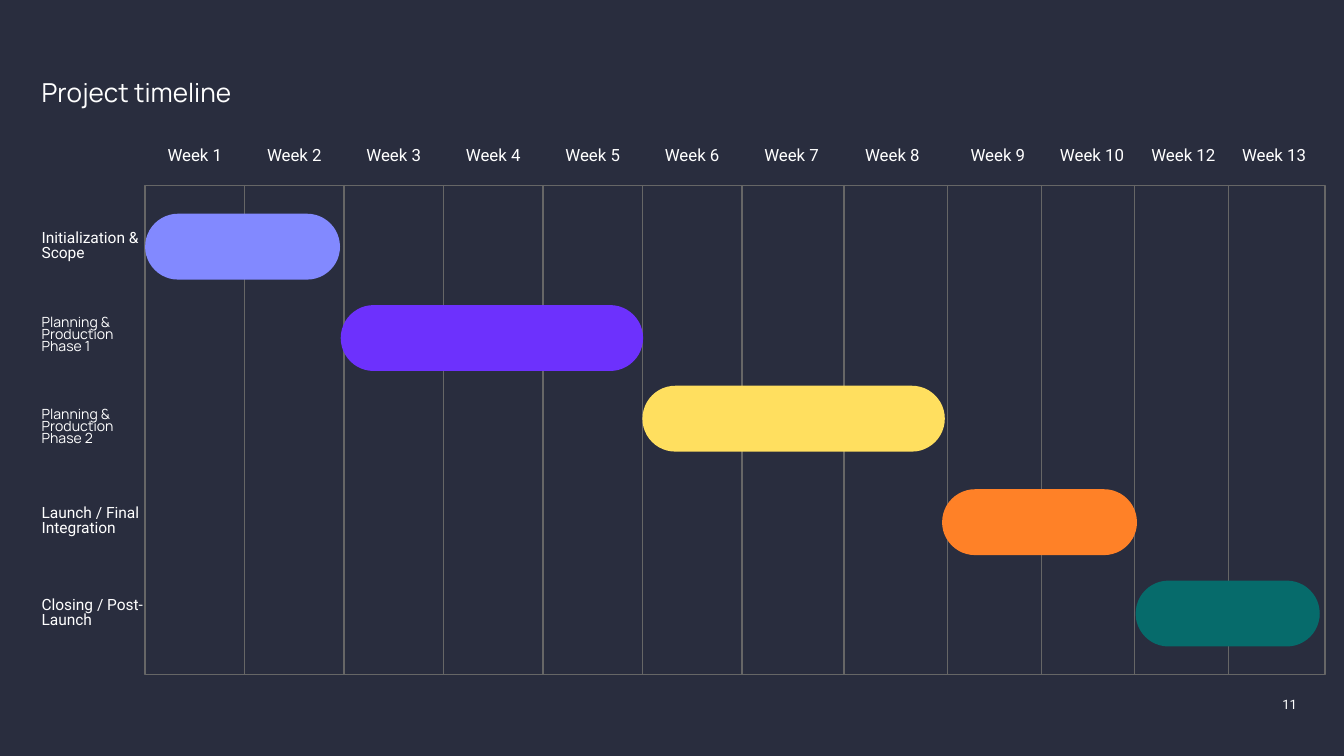
from lxml import etree
from pptx import Presentation
from pptx import util as u
from pptx.dml.color import RGBColor
from pptx.enum import shapes, text
from pptx.oxml.ns import qn

CELL = 0.1  # inches; the slide is a grid of 100 by 56.25 cells
WHITE, GREY, NIGHT = "FFFFFF", "666666", "292D3E"
LEFT, MID, RIGHT = text.PP_ALIGN.LEFT, text.PP_ALIGN.CENTER, text.PP_ALIGN.RIGHT


def cell(n):
    return u.Inches(n * CELL)


def tint(code):
    return RGBColor.from_string(code)


class Deck:
    """Holds the style and the current slide; lengths are in grid cells."""

    def __init__(self):
        self.prs = Presentation()
        self.prs.slide_width, self.prs.slide_height = cell(100), cell(56.25)
        self.slide = self.prs.slides.add_slide(self.prs.slide_layouts[6])
        fill = self.slide.background.fill
        fill.solid()
        fill.fore_color.rgb = tint(NIGHT)

    def label(self, x, y, w, h, lines, size, font="Roboto", align=LEFT,
              gap=1.0, anchor=text.MSO_ANCHOR.MIDDLE):
        """Add a text box; each item of lines starts after a line break."""
        frame = self.slide.shapes.add_textbox(*map(cell, (x, y, w, h))).text_frame
        frame.word_wrap = True
        frame.vertical_anchor = anchor
        frame.margin_left = frame.margin_right = 0
        frame.margin_top = frame.margin_bottom = 0
        para = frame.paragraphs[0]
        para.alignment, para.line_spacing = align, gap
        for i, line in enumerate(lines):
            if i:
                para.add_line_break()
            run = para.add_run()
            run.text = line
            run.font.size, run.font.name = u.Pt(size), font
            run.font.color.rgb = tint(WHITE)

    def frame(self, x, y, w, h):
        box = self.slide.shapes.add_shape(
            shapes.MSO_SHAPE.RECTANGLE, *map(cell, (x, y, w, h)))
        box.shadow.inherit = False
        box.fill.background()
        box.line.color.rgb, box.line.width = tint(GREY), u.Pt(0.75)

    def bar(self, x, y, w, h, color):
        pill = self.slide.shapes.add_shape(
            shapes.MSO_SHAPE.ROUNDED_RECTANGLE, *map(cell, (x, y, w, h)))
        pill.adjustments[0] = 0.5
        pill.shadow.inherit = False
        pill.fill.solid()
        pill.fill.fore_color.rgb = tint(color)
        pill.line.fill.background()

    def rule(self, x, top, end):
        line = self.slide.shapes.add_connector(
            shapes.MSO_CONNECTOR.STRAIGHT, *map(cell, (x, top, x, end)))
        line.line.color.rgb, line.line.width = tint(GREY), u.Pt(0.75)
        etree.SubElement(line._element.spPr, qn("a:effectLst"))


def main():
    deck = Deck()
    left, top, wide, high = 10.8, 13.8, 87.8, 36.4
    col, row = 7.4, 2.2

    deck.label(3.1, 3.35, 46.9, 4.7, ["Project timeline"], 14, "Manrope",
               gap=0.9, anchor=text.MSO_ANCHOR.BOTTOM)
    deck.label(73.5, 51.4, 23, 2, ["11"], 7, align=RIGHT)

    # The first seven weeks are even; the later ones are set by hand.
    even = [left + col * i for i in range(7)]
    deck.frame(left, top, wide, high)
    for x in even[1:] + [62.8, 70.5, 77.5, 84.4, 91.4]:
        deck.rule(x, top, top + high)

    weeks = [*range(1, 11), 12, 13]
    mids = [x + col / 2 for x in even] + [66.4, 74.25, 81.25, 88.05, 94.8]
    for week, mid in zip(weeks, mids):
        deck.label(mid - col / 2, 10.4, col, row, [f"Week {week}"], 9, align=MID)

    plain = (8.3, "Roboto", LEFT, 0.8)
    tight = (7.5, "Manrope", LEFT, 0.7)
    # Label lines, style, label top, then bar start, top, width and colour
    tasks = [
        (["Initialization & Scope"], plain, 17.25, 10.8, 15.9, 14.5, "8289FF"),
        (["Planning & Production", "Phase 1"], tight, 23.9,
         25.35, 22.7, 22.5, "6D31FD"),
        (["Planning & Production", "Phase 2"], tight, 30.75,
         47.8, 28.7, 22.5, "FFDF5F"),
        (["Launch / Final Integration"], plain, 37.7,
         70.1, 36.4, 14.5, "FF8127"),
        (["Closing / Post-Launch"], plain, 44.55, 84.5, 43.2, 13.7, "066B6B"),
    ]
    for lines, style, y, start, rise, span, color in tasks:
        deck.label(3.1, y, 7.7, row, lines, *style)
        deck.bar(start, rise, span, 4.9, color)

    deck.prs.save("out.pptx")


if __name__ == "__main__":
    main()
